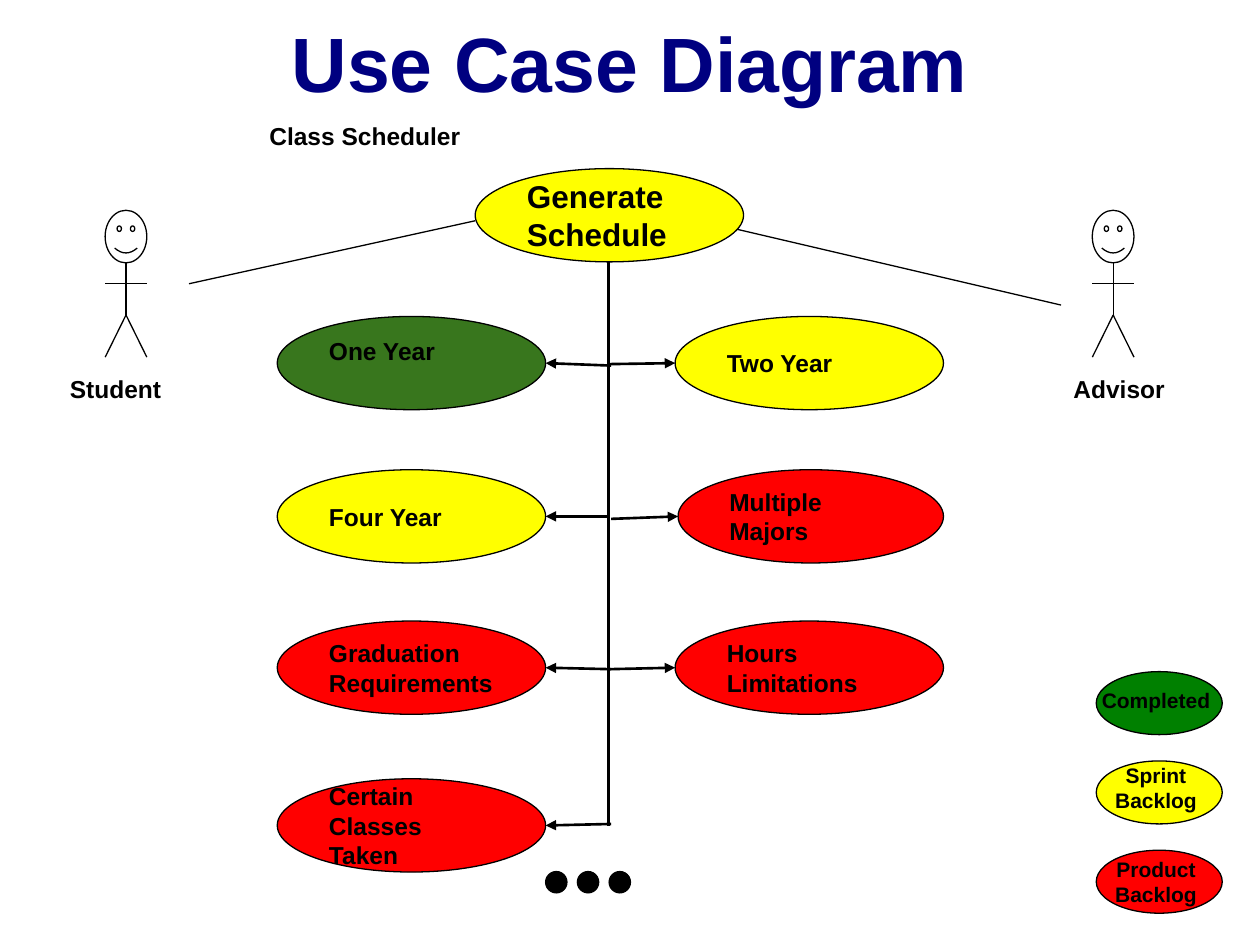
from pptx import Presentation as Deck
from pptx.dml.color import RGBColor as Rgb
from pptx.enum.shapes import MSO_CONNECTOR as Link, MSO_SHAPE as Form
from pptx.enum.text import MSO_ANCHOR as Anchor, MSO_AUTO_SIZE as Fit, PP_ALIGN as Align
from pptx.oxml.ns import qn
from pptx.util import Cm, Pt
from lxml.etree import SubElement as sub

BLACK = Rgb(0x00, 0x00, 0x00)
NAVY = Rgb(0x00, 0x00, 0x80)
GREEN = Rgb(0x00, 0x80, 0x00)
MOSS = Rgb(0x38, 0x76, 0x1D)
YELLOW = Rgb(0xFF, 0xFF, 0x00)
RED = Rgb(0xFF, 0x00, 0x00)

WIDE, HIGH = 5.41, 1.88
LEFT, RIGHT = 5.59, 13.61


def write(frame, words, size=14, color=BLACK, align=Align.LEFT, anchor=Anchor.TOP):
    """Fill a text frame with bold Arial, one paragraph per line."""
    frame.text = words
    frame.word_wrap = True
    frame.auto_size = Fit.NONE
    frame.vertical_anchor = anchor
    for para in frame.paragraphs:
        para.alignment = align
        font = para.font
        font.name, font.size, font.bold = "Arial", Pt(size), True
        font.color.rgb = color


def label(slide, words, x, y, w, h, **style):
    """Add a text box."""
    box = slide.shapes.add_textbox(Cm(x), Cm(y), Cm(w), Cm(h))
    write(box.text_frame, words, **style)


def shape(shapes, form, x, y, w, h, fill=None):
    """Add a thinly outlined shape, filled or hollow."""
    item = shapes.add_shape(form, Cm(x), Cm(y), Cm(w), Cm(h))
    item.shadow.inherit = False
    if fill is None:
        item.fill.background()
    else:
        item.fill.solid()
        item.fill.fore_color.rgb = fill
    item.line.color.rgb = BLACK
    item.line.width = Pt(0.75)
    return item


def line(shapes, x1, y1, x2, y2, width=0.75, arrow=False):
    """Add a straight black line, with an arrowhead at its end on request."""
    item = shapes.add_connector(Link.STRAIGHT, Cm(x1), Cm(y1), Cm(x2), Cm(y2))
    item.line.color.rgb = BLACK
    item.line.width = Pt(width)
    if arrow:
        sub(item.line._get_or_add_ln(), qn("a:tailEnd"), type="triangle")
    sub(item._element.spPr, qn("a:effectLst"))


def actor(slide, x):
    """Draw a stick figure centred on x."""
    parts = slide.shapes.add_group_shape().shapes
    head = shape(parts, Form.SMILEY_FACE, x - 0.42, 4.24, 0.84, 1.06)
    head.adjustments[0] = 0.05
    line(parts, x, 5.3, x, 6.35)
    for side in (0.42, -0.42):
        line(parts, x, 6.35, x + side, 7.2)
    line(parts, x - 0.42, 5.72, x + 0.42, 5.72)


def case(slide, words, x, y, fill, w=WIDE, anchor=Anchor.MIDDLE, **style):
    """Add a use case ellipse with its text."""
    oval = shape(slide.shapes, Form.OVAL, x, y, w, HIGH, fill)
    write(oval.text_frame, words, anchor=anchor, **style)


def legend(slide, words, y, top, high, fill):
    """Add a key ellipse with a caption over it."""
    shape(slide.shapes, Form.OVAL, 22.1, y, 2.54, 1.27, fill)
    label(slide, words, 21.59, top, 3.43, high, size=12, align=Align.CENTER)


def main():
    """Build the use case slide."""
    deck = Deck()
    deck.slide_width, deck.slide_height = Cm(25.4), Cm(19.05)
    slide = deck.slides.add_slide(deck.slide_layouts[5])
    shapes = slide.shapes

    title = shapes.title
    title.left, title.top, title.width, title.height = Cm(1.9), Cm(0.2), Cm(21.6), Cm(2.1)
    write(title.text_frame, "Use Case Diagram", size=44, color=NAVY,
          align=Align.CENTER, anchor=Anchor.MIDDLE)

    label(slide, "Class Scheduler", 5.18, 2.31, 4.6, 2.03)
    line(shapes, 3.81, 5.72, 9.58, 4.45)
    line(shapes, 21.39, 6.15, 14.55, 4.55)
    for name, x, left in (("Student", 2.54, 1.16), ("Advisor", 22.44, 21.39)):
        actor(slide, x)
        label(slide, name, left, 7.42, 3, 0.84)

    for step in range(3):
        shape(shapes, Form.OVAL, 11 + 0.64 * step, 17.57, 0.43, 0.43, BLACK)

    legend(slide, "Completed", 13.54, 13.74, 0.86, GREEN)
    legend(slide, "Sprint\nBacklog", 15.34, 15.24, 1.27, YELLOW)
    legend(slide, "Product\nBacklog", 17.14, 17.14, 1.27, RED)

    line(shapes, 12.27, 5.28, 12.27, 16.66, width=1.5)
    lefts = (
        ("One Year", 6.38, MOSS, Anchor.TOP, 12.32, 7.37),
        ("Four Year", 9.47, YELLOW, Anchor.MIDDLE, 12.24, 10.41),
        ("Graduation Requirements", 12.52, RED, Anchor.MIDDLE, 12.32, 13.49),
        ("Certain Classes Taken", 15.7, RED, Anchor.MIDDLE, 12.32, 16.61),
    )
    for words, y, fill, anchor, x1, y1 in lefts:
        case(slide, words, LEFT, y, fill, anchor=anchor)
        line(shapes, x1, y1, LEFT + WIDE, y + HIGH / 2, width=1.5, arrow=True)
    rights = (
        ("Two Year", RIGHT, 6.38, YELLOW, 12.27, 7.34),
        ("Multiple Majors", 13.67, 9.47, RED, 12.32, 10.46),
        ("Hours Limitations", RIGHT, 12.52, RED, 12.27, 13.49),
    )
    for words, x, y, fill, x1, y1 in rights:
        case(slide, words, x, y, fill, w=RIGHT + WIDE - x)
        line(shapes, x1, y1, x, y + HIGH / 2, width=1.5, arrow=True)
    case(slide, "Generate Schedule", 9.58, 3.4, YELLOW, size=18)

    deck.save("out.pptx")


if __name__ == "__main__":
    main()
